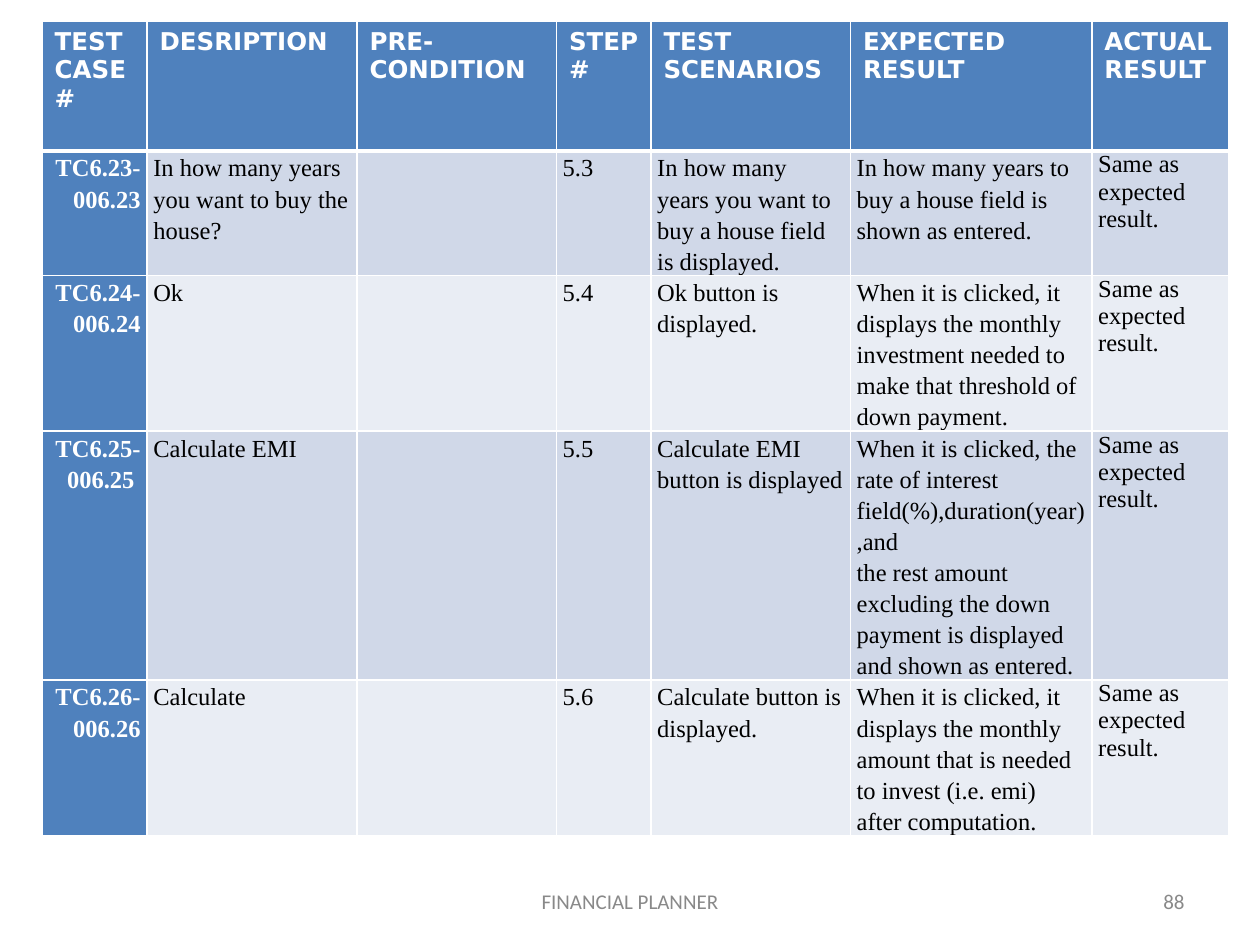
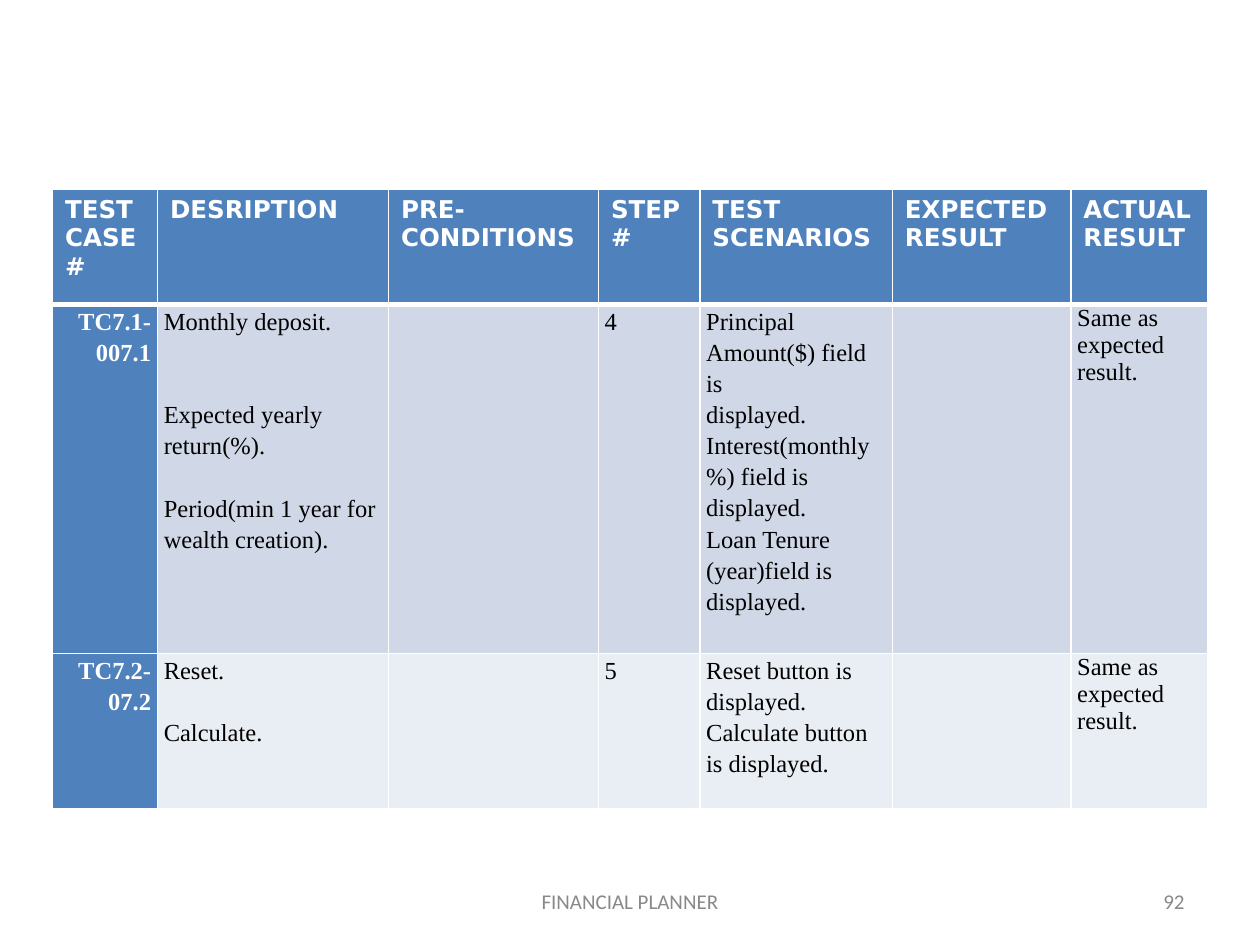
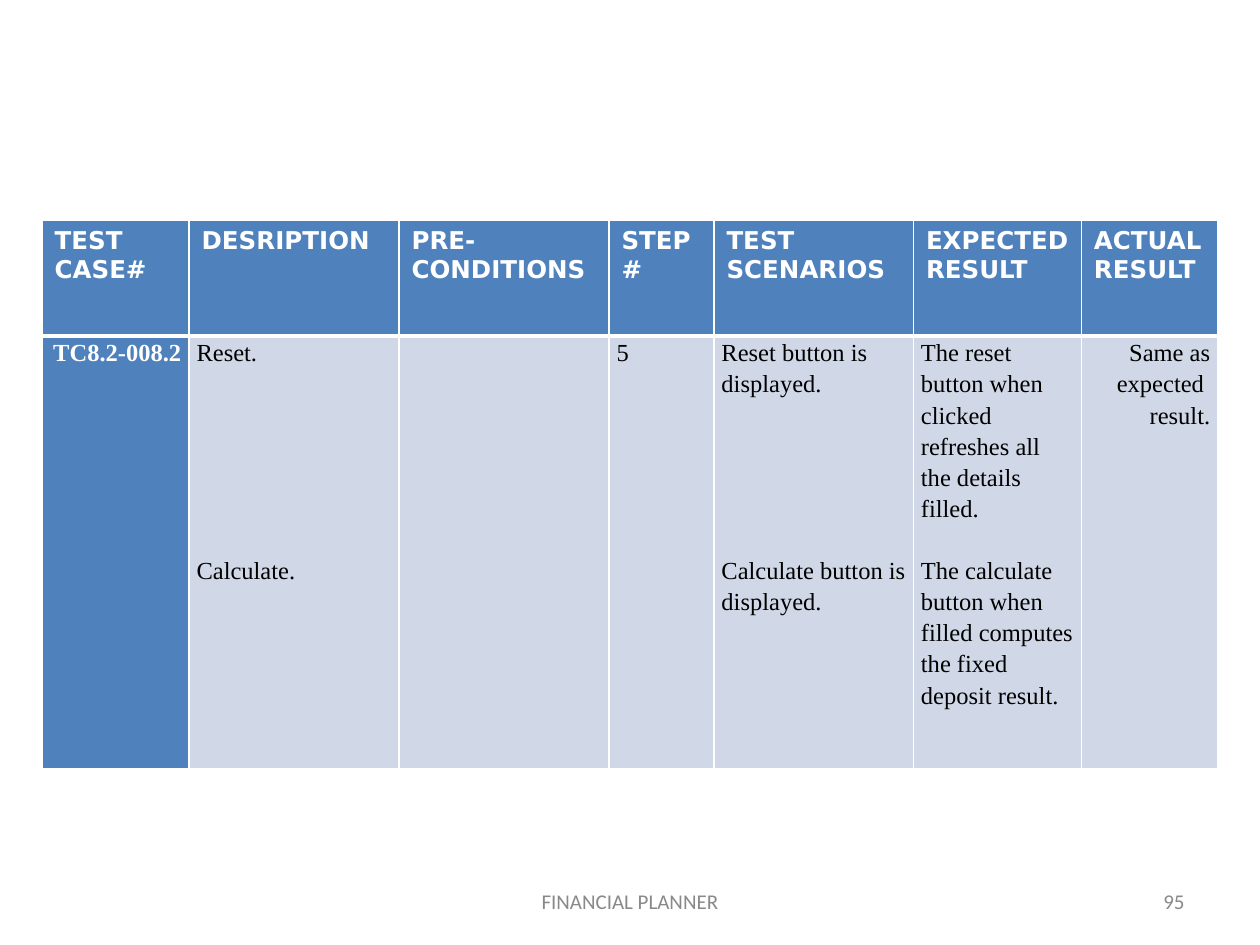
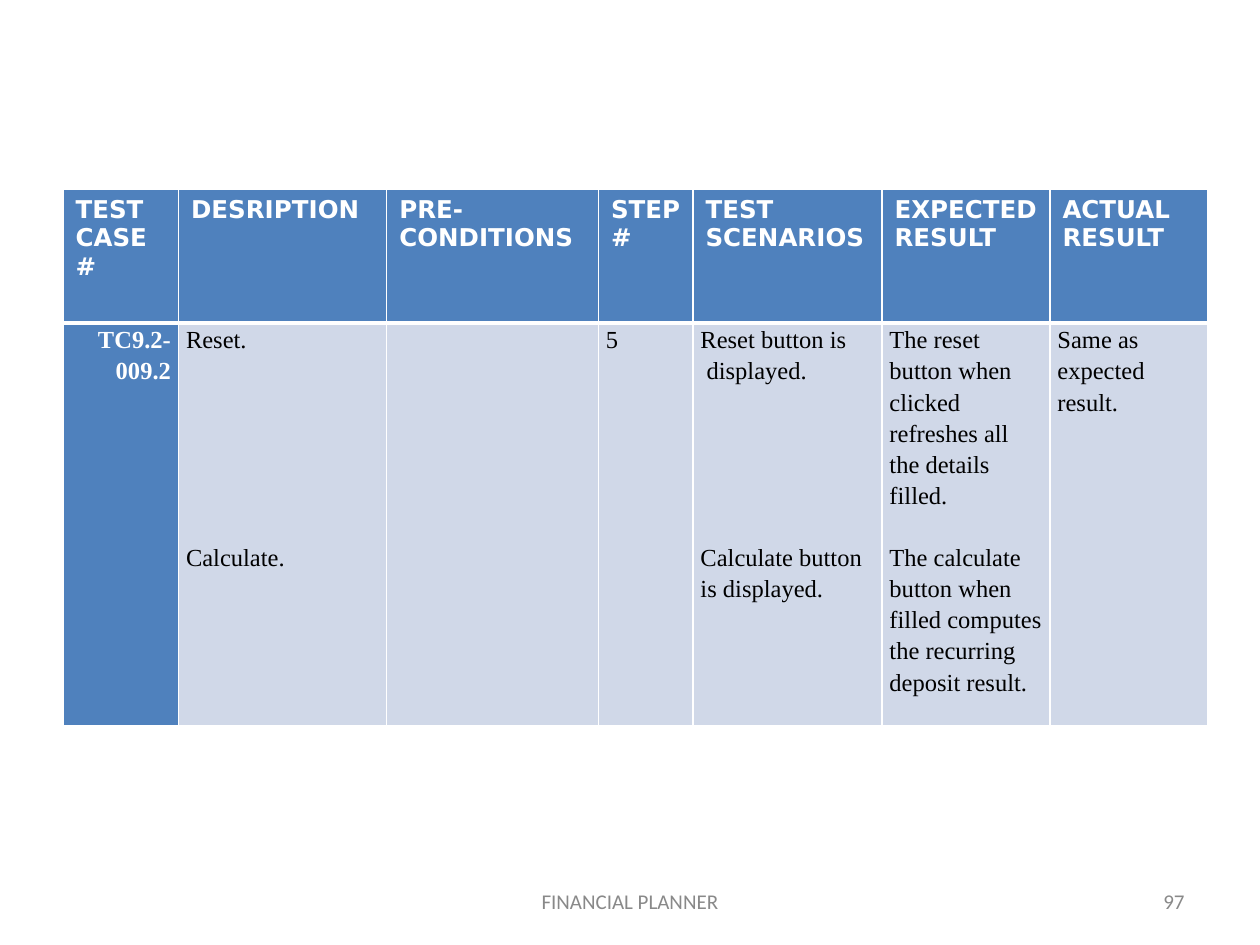
from dataclasses import dataclass

from lxml.etree import SubElement
from pptx import Presentation
from pptx.dml.color import RGBColor
from pptx.enum.text import MSO_ANCHOR, PP_ALIGN
from pptx.oxml.ns import qn
from pptx.slide import Slide
from pptx.table import _Cell
from pptx.text.text import TextFrame
from pptx.util import Pt

BLUE = "4F81BD"
BANDS = ("D0D8E8", "E9EDF4")
WHITE = "FFFFFF"
BLACK = "000000"
GREY = "898989"

TEXT_LINE = 17.8  # height of one 14 pt body line at 1.15 spacing
THIN, THICK = 1, 3
HEADER_INSETS = (7.2, 3.6)
SAME = "Same as expected result."


@dataclass(frozen=True)
class TextStyle:
    font: str
    colour: str
    size: float = 14
    bold: bool = False
    align: PP_ALIGN = PP_ALIGN.LEFT
    spacing: float = 1.0


HEADER = TextStyle("DejaVu Sans", WHITE, bold=True)
CASE = TextStyle("Times New Roman", WHITE, bold=True, align=PP_ALIGN.RIGHT, spacing=1.15)
BODY = TextStyle("Times New Roman", BLACK, spacing=1.15)
TIGHT = TextStyle("Times New Roman", BLACK)
BODY_RIGHT = TextStyle("Times New Roman", BLACK, align=PP_ALIGN.RIGHT, spacing=1.15)
FOOTER = TextStyle("Calibri", GREY, size=12, align=PP_ALIGN.CENTER)
NUMBER = TextStyle("Calibri", GREY, size=12, align=PP_ALIGN.RIGHT)


@dataclass(frozen=True)
class TestCase:
    number: str
    description: str
    step: str
    scenario: str
    expected: str
    actual: str = SAME

    def cells(self) -> tuple[str, ...]:
        return (self.number, self.description, "", self.step,
                self.scenario, self.expected, self.actual)


@dataclass(frozen=True)
class TestPage:
    number: int
    left: float
    top: float
    height: float
    columns: tuple[float, ...]
    rows: tuple[float, ...]
    cases: tuple[TestCase, ...]
    precondition: str = "PRE-\nCONDITIONS"
    inset: float = 4.32
    actual_style: TextStyle = BODY

    def headings(self) -> tuple[str, ...]:
        return ("TEST CASE#", "DESRIPTION", self.precondition, "STEP#",
                "TEST SCENARIOS", "EXPECTED RESULT", "ACTUAL RESULT")


def reset_case(number: str, scenario: str, deposit: str, actual: str) -> TestCase:
    expected = ("The reset\nbutton when\nclicked\nrefreshes all\nthe details\nfilled.\n\n"
                "The calculate\nbutton when\nfilled computes the "
                f"{deposit}\ndeposit result.")
    return TestCase(number, "Reset." + "\n" * 7 + "Calculate.", "5", scenario, expected, actual)


PAGES = (
    TestPage(
        88, 24, 12, 480, (60, 120, 114, 54, 114, 138, 78), (74.4, 39.6, 65.5, 78.5, 65.5),
        (
            TestCase("TC6.23-006.23", "In how many years you want to buy the house?", "5.3",
                     "In how many\nyears you want to buy a house field\nis displayed.",
                     "In how many years to buy a house field is\nshown as entered."),
            TestCase("TC6.24-006.24", "Ok", "5.4", "Ok button is\ndisplayed.",
                     "When it is clicked, it\ndisplays the monthly\n"
                     "investment needed to make that threshold of down payment."),
            TestCase("TC6.25-006.25 ", "Calculate EMI", "5.5",
                     "Calculate EMI\nbutton is displayed",
                     "When it is clicked, the rate of interest field(%),duration(year),and\n"
                     "the rest amount\nexcluding the down\npayment is displayed\n"
                     "and shown as entered."),
            TestCase("TC6.26-006.26", "Calculate", "5.6", "Calculate button is displayed.",
                     "When it is clicked, it\ndisplays the monthly\namount that is needed\n"
                     "to invest (i.e. emi)\nafter computation."),
        ),
        precondition="PRE-\nCONDITION", inset=3.6, actual_style=TIGHT,
    ),
    TestPage(
        92, 30, 108, 354, (60, 132, 120, 58, 110, 102, 78), (66, 199.4, 88.6),
        (
            TestCase("TC7.1-007.1",
                     "Monthly deposit.\n\n\nExpected yearly\nreturn(%).\n\n"
                     "Period(min 1 year for wealth creation).", "4",
                     "Principal Amount($) field is\ndisplayed.\n"
                     "Interest(monthly %) field is\ndisplayed.\n"
                     "Loan Tenure\n(year)field is\ndisplayed.", ""),
            TestCase("TC7.2-07.2", "Reset.\n\nCalculate.", "5",
                     "Reset button is\ndisplayed.\nCalculate button\nis displayed.", ""),
        ),
        inset=3.6, actual_style=TIGHT,
    ),
    TestPage(
        95, 24, 126, 313.2, (84, 120, 120, 60, 114, 96, 78), (66, 247.2),
        (reset_case("TC8.2-008.2",
                    "Reset button is\ndisplayed." + "\n" * 6 + "Calculate button is displayed.",
                    "fixed", "Same as\n expected \nresult."),),
        actual_style=BODY_RIGHT,
    ),
    TestPage(
        97, 36, 108, 306.4, (66, 119, 121, 54, 108, 96, 90), (76.6, 229.8),
        (reset_case("TC9.2-\n009.2",
                    "Reset button is\n displayed." + "\n" * 6 + "Calculate button\nis displayed.",
                    "recurring", "Same as\nexpected\nresult."),),
    ),
)


def rgb(colour: str) -> RGBColor:
    return RGBColor.from_string(colour)


def write_text(frame: TextFrame, text: str, style: TextStyle) -> None:
    """Write one paragraph per line; empty lines become space before the next one."""
    formats = {"name": style.font, "size": Pt(style.size), "bold": style.bold}
    skipped = 0
    for index, line in enumerate(text.split("\n")):
        if index and not line:
            skipped += 1
            continue
        para = frame.add_paragraph() if index else frame.paragraphs[0]
        para.alignment = style.align
        para.line_spacing = style.spacing
        if skipped:
            para.space_before = Pt(skipped * TEXT_LINE)
            skipped = 0
        if not line:
            continue
        span = para.add_run()
        span.text = line
        for name, value in formats.items():
            setattr(span.font, name, value)
        span.font.color.rgb = rgb(style.colour)


def add_borders(cell: _Cell, top: float, bottom: float) -> None:
    properties = cell._tc.get_or_add_tcPr()
    for side, width in (("L", THIN), ("R", THIN), ("T", top), ("B", bottom)):
        line = SubElement(properties, qn(f"a:ln{side}"), w=str(Pt(width)))
        fill = SubElement(line, qn("a:solidFill"))
        SubElement(fill, qn("a:srgbClr"), val=WHITE)


def fill_cell(cell: _Cell, text: str, style: TextStyle, colour: str,
              insets: tuple[float, float], top: float, bottom: float) -> None:
    across, down = (Pt(inset) for inset in insets)
    margins = {"margin_left": across, "margin_right": across,
               "margin_top": down, "margin_bottom": down}
    for name, value in margins.items():
        setattr(cell, name, value)
    add_borders(cell, top, bottom)
    cell.fill.solid()
    cell.fill.fore_color.rgb = rgb(colour)
    write_text(cell.text_frame, text, style)


def add_test_table(slide: Slide, page: TestPage) -> None:
    frame = slide.shapes.add_table(len(page.rows), len(page.columns), Pt(page.left), Pt(page.top),
                                   Pt(sum(page.columns)), Pt(page.height))
    table = frame.table
    table.horz_banding = False
    for column, width in zip(table.columns, page.columns):
        column.width = Pt(width)
    for row, height in zip(table.rows, page.rows):
        row.height = Pt(height)
    frame.height = Pt(page.height)

    for column, heading in enumerate(page.headings()):
        fill_cell(table.cell(0, column), heading, HEADER, BLUE, HEADER_INSETS, THIN, THICK)
    styles = (CASE, *[BODY] * 5, page.actual_style)
    for row, case in enumerate(page.cases, start=1):
        band = BANDS[(row - 1) % len(BANDS)]
        top = THICK if row == 1 else THIN
        for column, (text, style) in enumerate(zip(case.cells(), styles)):
            colour = band if column else BLUE
            fill_cell(table.cell(row, column), text, style, colour, (page.inset, 0), top, THIN)


def add_footer_text(slide: Slide, text: str, left: float, width: float, style: TextStyle) -> None:
    box = slide.shapes.add_textbox(Pt(left), Pt(500.5), Pt(width), Pt(28.75))
    box.text_frame.word_wrap = True
    box.text_frame.vertical_anchor = MSO_ANCHOR.MIDDLE
    write_text(box.text_frame, text, style)


def main() -> None:
    deck = Presentation()
    deck.slide_width, deck.slide_height = Pt(720), Pt(540)
    for page in PAGES:
        slide = deck.slides.add_slide(deck.slide_layouts[6])
        add_test_table(slide, page)
        add_footer_text(slide, str(page.number), 516, 168, NUMBER)
        add_footer_text(slide, "FINANCIAL PLANNER", 246, 228, FOOTER)
    deck.save("out.pptx")


if __name__ == "__main__":
    main()
